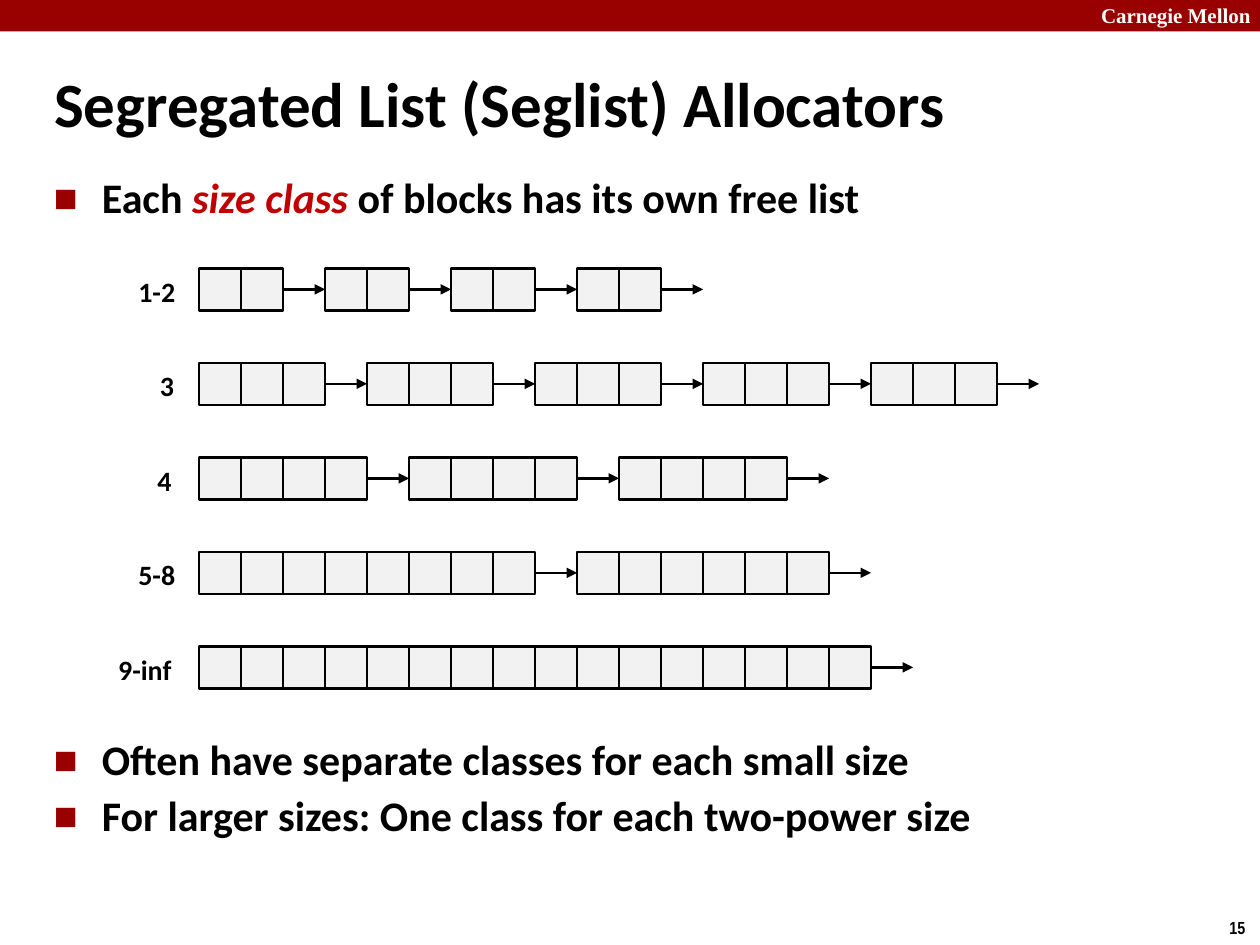
from lxml.etree import SubElement
from pptx import Presentation
from pptx.dml.color import RGBColor
from pptx.enum.shapes import MSO_CONNECTOR, MSO_SHAPE
from pptx.enum.text import MSO_ANCHOR, PP_ALIGN
from pptx.oxml.ns import qn
from pptx.util import Inches, Pt

COLORS = {"banner": "990000", "accent": "C00000", "cell": "F2F2F2",
          "ink": "000000", "paper": "FFFFFF"}
GRID_LEFT, GRID_TOP = 1.58, 2.13
CELL = 1 / 3
ROW_PITCH = 0.75
FREE_LISTS = [
    ("1-2", 1.0, [2] * 4),
    ("3", 1.17, [3] * 5),
    ("4", 1.15, [4] * 3),
    ("5-8", 1.0, [8, 6]),
    ("9-inf", 0.84, [16]),
]
BULLETS = [
    (0, [("Each ", False), ("size class ", True),
         ("of blocks has its own free list", False)]),
    (294, [("Often have separate classes for each small size", False)]),
    (4.5, [("For larger sizes: One class for each two-power size", False)]),
]


def color(name):
    """Return the named palette colour."""
    return RGBColor.from_string(COLORS[name])


def style_font(font, size, name="Calibri", ink="ink"):
    """Apply the bold slide type to a font."""
    font.name, font.size, font.bold = name, Pt(size), True
    font.color.rgb = color(ink)


def add_box(slide, left, top, width, height, fill):
    """Add a flat filled rectangle without an outline."""
    box = slide.shapes.add_shape(MSO_SHAPE.RECTANGLE, Inches(left), Inches(top),
                                 Inches(width), Inches(height))
    box.shadow.inherit = False
    box.fill.solid()
    box.fill.fore_color.rgb = color(fill)
    box.line.fill.background()
    return box


def add_label(slide, text, left, top, width, height, size, name="Calibri", ink="ink"):
    """Add a one-line text box."""
    label = slide.shapes.add_textbox(Inches(left), Inches(top),
                                     Inches(width), Inches(height))
    label.text_frame.word_wrap = False
    paragraph = label.text_frame.paragraphs[0]
    paragraph.text = text
    style_font(paragraph.font, size, name, ink)


def add_arrow(slide, column, row):
    """Add a one-cell arrow that starts at a grid column."""
    left = GRID_LEFT + column * CELL
    middle = Inches(GRID_TOP + row * ROW_PITCH + CELL / 2)
    arrow = slide.shapes.add_connector(MSO_CONNECTOR.STRAIGHT, Inches(left), middle,
                                       Inches(left + CELL), middle)
    arrow.line.color.rgb = color("ink")
    arrow.line.width = Pt(1.5)
    SubElement(arrow.line._get_or_add_ln(), qn("a:tailEnd"), type="triangle")
    SubElement(arrow._element.spPr, qn("a:effectLst"))


def add_free_list(slide, row, label, label_left, blocks):
    """Draw one size class: its label, blocks of cells and arrows."""
    top = GRID_TOP + row * ROW_PITCH
    add_label(slide, label, label_left, top, 1.5 - label_left, 0.37, 16)
    column = 0
    for size in blocks:
        for cell in range(column, column + size):
            box = add_box(slide, GRID_LEFT + cell * CELL, top, CELL, CELL, "cell")
            box.line.color.rgb = color("ink")
            box.line.width = Pt(1.5)
        add_arrow(slide, column + size, row)
        column += size + 1


def format_title(slide, text):
    """Place and style the title placeholder."""
    title = slide.shapes.title
    title.left, title.top = Inches(0.33), Inches(0.54)
    title.width, title.height = Inches(9), Inches(0.63)
    title.text_frame.vertical_anchor = MSO_ANCHOR.MIDDLE
    paragraph = title.text_frame.paragraphs[0]
    paragraph.text = text
    paragraph.alignment = PP_ALIGN.LEFT
    paragraph.line_spacing = 0.87
    style_font(paragraph.font, 36)


def set_bullet(paragraph):
    """Give a paragraph a hanging square bullet."""
    properties = paragraph._p.get_or_add_pPr()
    properties.set("marL", str(Inches(0.38)))
    properties.set("indent", str(-Inches(0.38)))
    bullet_color = SubElement(properties, qn("a:buClr"))
    SubElement(bullet_color, qn("a:srgbClr"), val=COLORS["banner"])
    SubElement(properties, qn("a:buSzPct"), val="60000")
    SubElement(properties, qn("a:buFont"), typeface="Calibri")
    SubElement(properties, qn("a:buChar"), char="■")


def add_bullets(slide):
    """Add the bullet text around the free-list diagram."""
    body = slide.shapes.add_textbox(Inches(0.33), Inches(1.34),
                                    Inches(9.09), Inches(5.75))
    frame = body.text_frame
    frame.word_wrap = True
    for index, (gap, runs) in enumerate(BULLETS):
        paragraph = frame.add_paragraph() if index else frame.paragraphs[0]
        set_bullet(paragraph)
        paragraph.line_spacing = 0.95
        paragraph.space_before = Pt(gap)
        style_font(paragraph.font, 24)
        for text, emphasized in runs:
            run = paragraph.add_run()
            run.text = text
            if emphasized:
                run.font.italic = True
                run.font.color.rgb = color("accent")


def main():
    """Build and save the slide."""
    presentation = Presentation()
    presentation.slide_width, presentation.slide_height = Inches(10), Inches(7.5)
    slide = presentation.slides.add_slide(presentation.slide_layouts[5])
    add_box(slide, 0, 0, 10, 0.25, "banner")
    add_label(slide, "Carnegie Mellon", 8.64, -0.03, 1.43, 0.3, 12,
              "Times New Roman", "paper")
    add_label(slide, "15", 9.66, 7.23, 0.34, 0.27, 10, "Arial Narrow")
    format_title(slide, "Segregated List (Seglist) Allocators")
    add_bullets(slide)
    for row, free_list in enumerate(FREE_LISTS):
        add_free_list(slide, row, *free_list)
    presentation.save("out.pptx")


if __name__ == "__main__":
    main()
